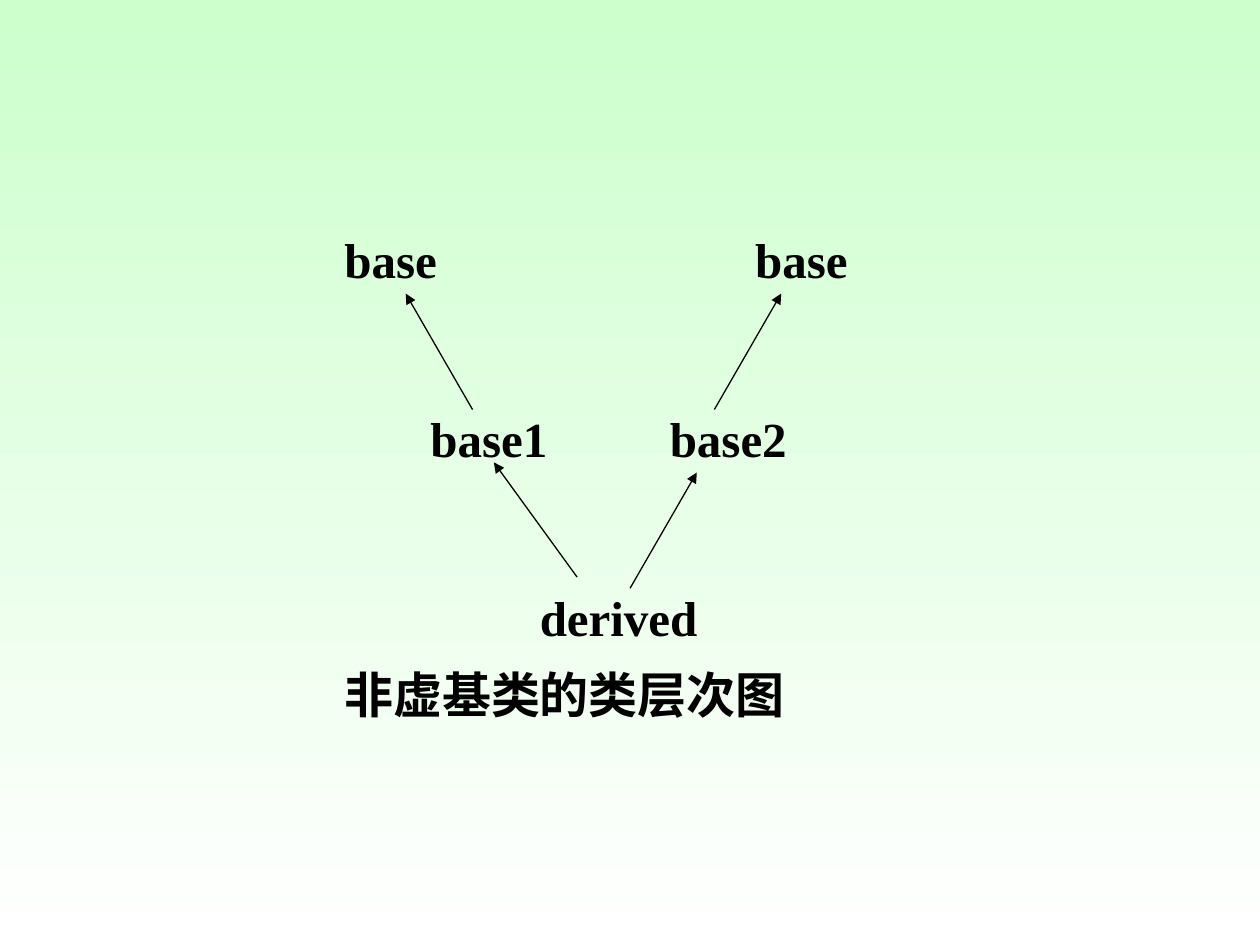
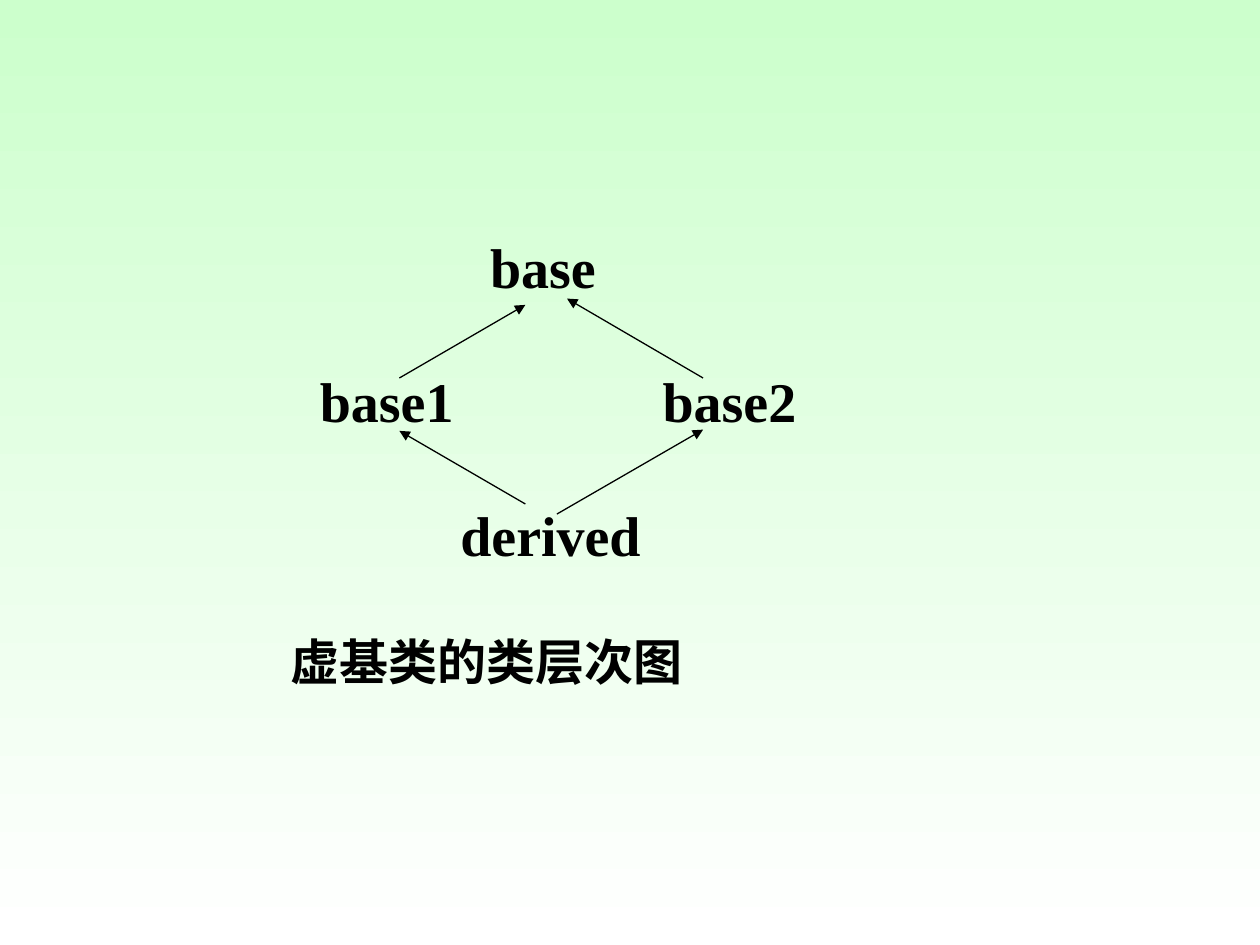
from dataclasses import dataclass

from lxml.etree import SubElement
from pptx import Presentation
from pptx.dml.color import RGBColor
from pptx.enum.shapes import MSO_CONNECTOR
from pptx.enum.text import MSO_ANCHOR, MSO_AUTO_SIZE, PP_ALIGN
from pptx.oxml.ns import qn
from pptx.util import Inches, Pt

MINT = RGBColor(0xCC, 0xFF, 0xCC)
WHITE = RGBColor(0xFF, 0xFF, 0xFF)
BLACK = RGBColor(0, 0, 0)
FONT = "Times New Roman"
CAPTION_SIZE = 28
TITLE_ONLY = 5
LABEL_WIDTH, LABEL_HEIGHT = 1.8, 0.6
CAPTION_WIDTH, CAPTION_HEIGHT = 4.5, 0.66


@dataclass
class Hierarchy:
    """Class diagram; positions are inches from its left top corner."""
    left: float
    top: float
    row_step: float
    label_size: int
    classes: list    # (name, centre x, row)
    arrows: list     # (from x, from y, to x, to y)
    caption: str
    caption_center: float
    caption_top: float


NON_VIRTUAL = Hierarchy(
    left=2, top=1.77, row_step=1.42, label_size=28,
    classes=[("base", 1.1, 0), ("base", 4.36, 0),
             ("base1", 1.88, 1), ("base2", 3.78, 1), ("derived", 2.91, 2)],
    arrows=[(3.67, 1.48, 4.2, 0.56), (1.75, 1.48, 1.22, 0.56),
            (3, 2.9, 3.53, 1.98), (2.58, 2.81, 1.92, 1.9)],
    caption="非虚基类的类层次图", caption_center=2.48, caption_top=3.45)

VIRTUAL = Hierarchy(
    left=2, top=1.8, row_step=1.06, label_size=32,
    classes=[("base", 2.31, 0), ("base1", 1.07, 1),
             ("base2", 3.79, 1), ("derived", 2.37, 2)],
    arrows=[(2.42, 2.28, 3.58, 1.61), (2.17, 2.2, 1.17, 1.62),
            (1.17, 1.2, 2.17, 0.62), (3.58, 1.2, 2.5, 0.57)],
    caption="虚基类的类层次图", caption_center=1.86, caption_top=3.16)


def paint_background(master):
    fill = master.background.fill
    fill.gradient()
    fill.gradient_angle = 270
    for stop, color in zip(fill.gradient_stops, (MINT, WHITE)):
        stop.color.rgb = color


def write_centered(shape, text, size):
    frame = shape.text_frame
    frame.text = text
    frame.word_wrap = True
    frame.auto_size = MSO_AUTO_SIZE.NONE
    frame.vertical_anchor = MSO_ANCHOR.TOP
    paragraph = frame.paragraphs[0]
    paragraph.alignment = PP_ALIGN.CENTER
    font = paragraph.runs[0].font
    font.name, font.size, font.bold = FONT, Pt(size), True
    font.color.rgb = BLACK


def add_class_label(slide, name, center, top, size):
    label = slide.shapes.add_textbox(
        Inches(center - LABEL_WIDTH / 2), Inches(top),
        Inches(LABEL_WIDTH), Inches(LABEL_HEIGHT))
    write_centered(label, name, size)


def add_inheritance_arrow(slide, start_x, start_y, end_x, end_y):
    arrow = slide.shapes.add_connector(
        MSO_CONNECTOR.STRAIGHT, Inches(start_x), Inches(start_y),
        Inches(end_x), Inches(end_y))
    arrow.line.color.rgb = BLACK
    arrow.line.width = Pt(0.75)
    SubElement(arrow.line._get_or_add_ln(), qn("a:tailEnd"), type="triangle")
    SubElement(arrow._element.spPr, qn("a:effectLst"))


def place_caption(slide, text, center, top):
    caption = slide.shapes.title
    caption.left, caption.top = Inches(center - CAPTION_WIDTH / 2), Inches(top)
    caption.width, caption.height = Inches(CAPTION_WIDTH), Inches(CAPTION_HEIGHT)
    write_centered(caption, text, CAPTION_SIZE)


def add_hierarchy_slide(prs, diagram):
    slide = prs.slides.add_slide(prs.slide_layouts[TITLE_ONLY])
    left, top = diagram.left, diagram.top
    for name, center, row in diagram.classes:
        add_class_label(slide, name, left + center,
                        top + row * diagram.row_step, diagram.label_size)
    for start_x, start_y, end_x, end_y in diagram.arrows:
        add_inheritance_arrow(slide, left + start_x, top + start_y,
                              left + end_x, top + end_y)
    place_caption(slide, diagram.caption, left + diagram.caption_center,
                  top + diagram.caption_top)


def main():
    prs = Presentation()
    prs.slide_width, prs.slide_height = Inches(10), Inches(7.5)
    paint_background(prs.slide_master)
    for diagram in (NON_VIRTUAL, VIRTUAL):
        add_hierarchy_slide(prs, diagram)
    prs.save("out.pptx")


if __name__ == "__main__":
    main()
